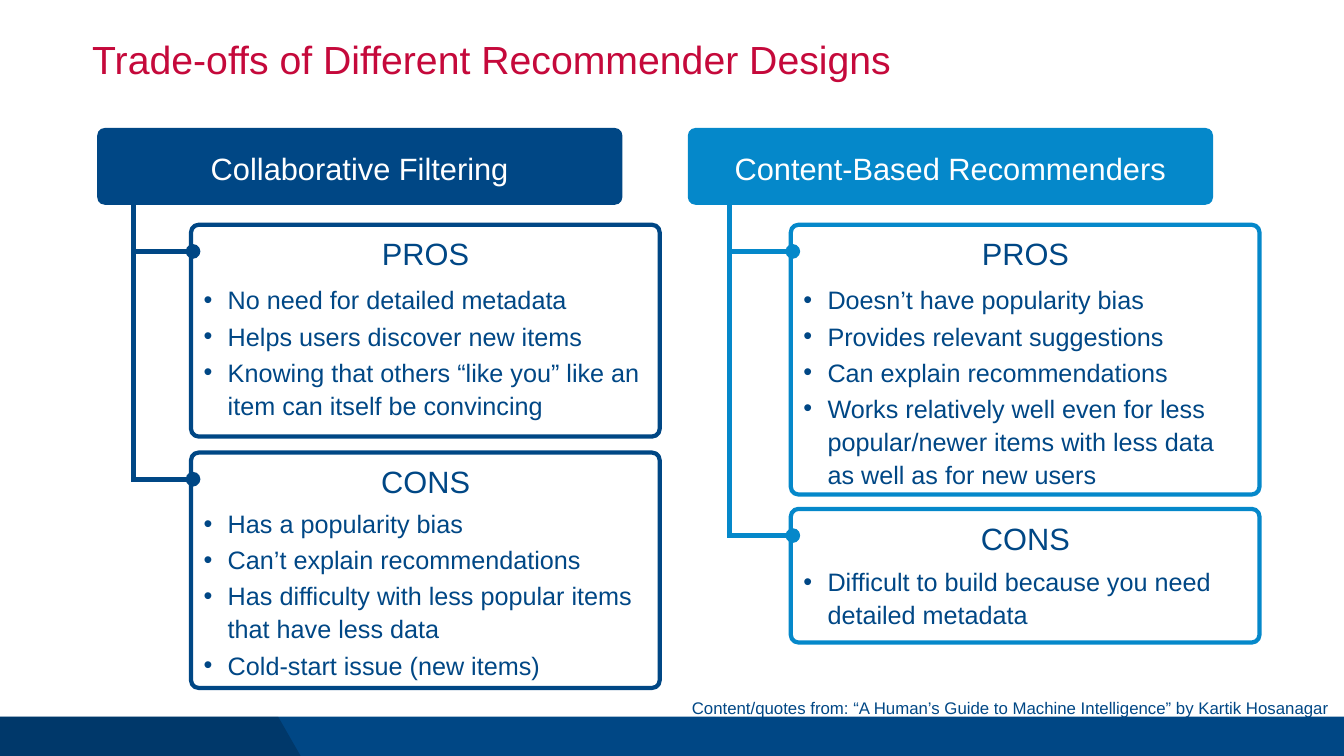
from lxml import etree
from pptx import Presentation
from pptx import util as u
from pptx.dml.color import RGBColor
from pptx.enum import shapes, text
from pptx.oxml import ns

COLORS = {"navy": "004785", "sky": "0588CA", "red": "C5093B", "white": "FFFFFF", "black": "000000"}


class Deck:
    """Slide under construction together with its style."""

    font = "Arial"
    radius = 0.38

    def __init__(self, width, height):
        self.prs = Presentation()
        self.prs.slide_width, self.prs.slide_height = u.Cm(width), u.Cm(height)
        self.slide = self.prs.slides.add_slide(self.prs.slide_layouts[6])

    def rgb(self, color):
        return RGBColor.from_string(COLORS[color])

    def paint(self, shape, fill=None, outline=None, weight=6):
        shape.shadow.inherit = False
        if fill:
            shape.fill.solid()
            shape.fill.fore_color.rgb = self.rgb(fill)
        else:
            shape.fill.background()
        if outline:
            shape.line.color.rgb = self.rgb(outline)
            shape.line.width = u.Pt(weight)
        else:
            shape.line.fill.background()
        return shape

    def box(self, place, fill=None, outline=None, rounded=True):
        kind = shapes.MSO_SHAPE.ROUNDED_RECTANGLE if rounded else shapes.MSO_SHAPE.RECTANGLE
        shape = self.slide.shapes.add_shape(kind, *map(u.Cm, place))
        if rounded:
            shape.adjustments[0] = self.radius / min(place[2:])
        return self.paint(shape, fill, outline)

    def outline(self, points, fill, alpha):
        corners = [(u.Cm(x), u.Cm(y)) for x, y in points]
        builder = self.slide.shapes.build_freeform(*corners[0])
        builder.add_line_segments(corners[1:], close=True)
        shape = self.paint(builder.convert_to_shape(), fill)
        tint = shape._element.spPr.find(ns.qn("a:solidFill")).find(ns.qn("a:srgbClr"))
        etree.SubElement(tint, ns.qn("a:alpha"), val=str(alpha * 1000))

    def line(self, start, end, color, dot=False):
        line = self.slide.shapes.add_connector(
            shapes.MSO_CONNECTOR.STRAIGHT, *map(u.Cm, start + end))
        line.line.color.rgb = self.rgb(color)
        line.line.width = u.Pt(7)
        if dot:
            stroke = line._element.spPr.find(ns.qn("a:ln"))
            etree.SubElement(stroke, ns.qn("a:headEnd"), type="oval")
        etree.SubElement(line._element.spPr, ns.qn("a:effectLst"))

    def typeset(self, frame, words, size, color, align=text.PP_ALIGN.LEFT,
                anchor=text.MSO_ANCHOR.TOP, inset=0.1, spacing=1.1, before=4, bullets=False):
        frame.word_wrap = True
        frame.vertical_anchor = anchor
        frame.margin_left = frame.margin_right = u.Cm(inset)
        frame.margin_top = frame.margin_bottom = u.Cm(inset)
        frame.text = words
        for paragraph in frame.paragraphs:
            paragraph.alignment = align
            paragraph.line_spacing = spacing
            paragraph.space_before = u.Pt(before)
            if bullets:
                props = paragraph._p.get_or_add_pPr()
                props.set("marL", str(u.Cm(1.22)))
                props.set("indent", str(-u.Cm(1.22)))
                etree.SubElement(props, ns.qn("a:buFont"), typeface=self.font)
                etree.SubElement(props, ns.qn("a:buChar"), char="•")
            for run in paragraph.runs:
                run.font.name, run.font.size = self.font, u.Pt(size)
                run.font.color.rgb = self.rgb(color)

    def label(self, place, words, size, color, **style):
        self.typeset(self.slide.shapes.add_textbox(*map(u.Cm, place)).text_frame,
                     words, size, color, **style)

    def heading(self, frame, words, color):
        self.typeset(frame, words, 44, color, align=text.PP_ALIGN.CENTER,
                     anchor=text.MSO_ANCHOR.MIDDLE)

    def panel(self, left, top, height, color, title, list_top, points):
        self.box((left, top, 23.62, height), outline=color)
        heading = self.slide.shapes.add_textbox(
            *map(u.Cm, (left - 0.1, top, 23.85, 2.72)))
        self.heading(heading.text_frame, title, "navy")
        self.label((left + 0.53, list_top, 22.55, top + height - list_top - 0.3),
                   "\n".join(points), 36, "navy", bullets=True)

    def design(self, name, color, left, trunk, panel_left, panels):
        header = self.box((left, 6.45, 26.47, 3.87), fill=color)
        self.heading(header.text_frame, name, "white")
        branches = [top + 1.34 for _, top, *_ in panels]
        self.line((trunk, 10), (trunk, branches[-1] + 0.12), color)
        for branch, (title, top, height, list_top, points) in zip(branches, panels):
            self.line((panel_left + 0.1, branch), (trunk, branch), color, dot=True)
            self.panel(panel_left, top, height, color, title, list_top, points)


deck = Deck(67.74, 38.1)
deck.box((0, 36.12, 67.74, 2.13), fill="navy", rounded=False)
deck.outline([(0, 36.12), (14.02, 36.12), (15.24, 38.25), (0, 38.25)], "black", 20)
deck.label((4.65, 2.03, 58.42, 2.67), "Trade-offs of Different Recommender Designs",
           56, "red", inset=0, spacing=0.9, before=0)

deck.design("Collaborative Filtering", "navy", 4.9, 6.71, 9.63, [
    ("PROS", 11.33, 10.67, 14.1, [
        "No need for detailed metadata",
        "Helps users discover new items",
        "Knowing that others “like you” like an item can itself be convincing"]),
    ("CONS", 22.81, 11.86, 25.37, [
        "Has a popularity bias",
        "Can’t explain recommendations",
        "Has difficulty with less popular items that have less data",
        "Cold-start issue (new items)"]),
])
deck.design("Content-Based Recommenders", "sky", 34.67, 36.78, 39.86, [
    ("PROS", 11.33, 13.59, 14.1, [
        "Doesn’t have popularity bias",
        "Provides relevant suggestions",
        "Can explain recommendations",
        "Works relatively well even for less popular/newer items with less data "
        "as well as for new users"]),
    ("CONS", 25.65, 6.73, 28.3, [
        "Difficult to build because you need detailed metadata"]),
])

deck.label((34.87, 35.05, 32.8, 1.73),
           "Content/quotes from: “A Human’s Guide to Machine Intelligence” by Kartik Hosanagar",
           24, "navy", inset=0)
deck.prs.save("out.pptx")
